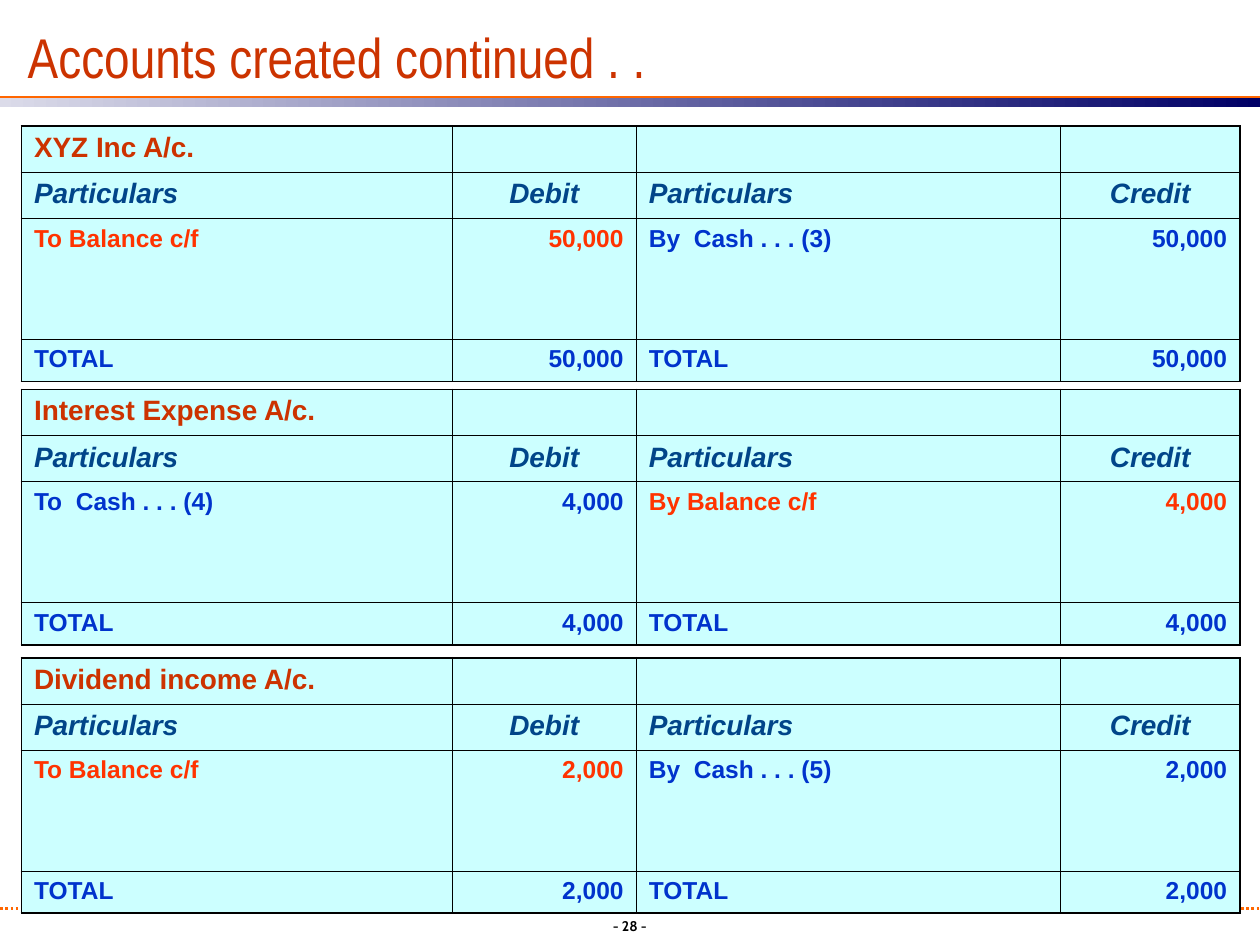
from dataclasses import dataclass

from lxml import etree
from pptx import Presentation
from pptx.dml.color import RGBColor
from pptx.enum.dml import MSO_LINE
from pptx.enum.shapes import MSO_CONNECTOR, MSO_SHAPE
from pptx.enum.text import MSO_ANCHOR, MSO_AUTO_SIZE, PP_ALIGN
from pptx.oxml.ns import qn
from pptx.util import Inches, Pt

LEFT, CENTER, RIGHT = PP_ALIGN.LEFT, PP_ALIGN.CENTER, PP_ALIGN.RIGHT
BOTTOM = MSO_ANCHOR.BOTTOM
NO_AUTOFIT = MSO_AUTO_SIZE.NONE
STRAIGHT = MSO_CONNECTOR.STRAIGHT
RECTANGLE = MSO_SHAPE.RECTANGLE
DOTTED = MSO_LINE.ROUND_DOT


@dataclass(frozen=True)
class Theme:
    heading: str = "CC3300"
    column: str = "014589"
    entry: str = "0033CC"
    balance: str = "FF3300"
    cell: str = "CCFFFF"
    black: str = "000000"
    shadow: str = "808080"
    rule: str = "FF6600"
    band_start: str = "DBDBE9"
    band_end: str = "000066"
    title_size: int = 32
    heading_size: int = 16
    entry_size: int = 14
    page_size: int = 8
    rule_width: float = 1.5
    outer_border: float = 1.08
    inner_border: float = 0.45


THEME = Theme()
TITLE_FONT = {"name": "Arial Narrow", "size": Pt(THEME.title_size), "bold": False}
HEADING_FONT = {"name": "Arial", "size": Pt(THEME.heading_size), "bold": True}
COLUMN_FONT = {**HEADING_FONT, "italic": True}
ENTRY_FONT = {**HEADING_FONT, "size": Pt(THEME.entry_size)}
PAGE_FONT = {"name": "Cabin", "size": Pt(THEME.page_size), "bold": True}

COLUMN_WIDTHS = (3.42, 1.46, 3.37, 1.42)
ROW_HEIGHTS = (0.33, 0.32, 0.96, 0.3)
COLUMN_TITLES = ("Particulars", "Debit", "Particulars", "Credit")
ACCOUNTS = (
    (1, "XYZ Inc A/c.", "To Balance c/f", "By  Cash . . . (3)", "50,000"),
    (3.09, "Interest Expense A/c.", "To  Cash . . . (4)", "By Balance c/f", "4,000"),
    (5.22, "Dividend income A/c.", "To Balance c/f", "By  Cash . . . (5)", "2,000"),
)


def write(paragraph, text, font, color, align=LEFT):
    paragraph.alignment = align
    run = paragraph.add_run()
    run.text = text
    for attribute, value in font.items():
        setattr(run.font, attribute, value)
    run.font.color.rgb = RGBColor.from_string(color)
    return run


def add_text_shadow(run):
    effects = etree.Element(qn("a:effectLst"))
    shadow = etree.SubElement(effects, qn("a:outerShdw"), dist="25400", dir="2700000")
    etree.SubElement(shadow, qn("a:srgbClr"), val=THEME.shadow)
    run.font.fill.solid()
    run.font.color.rgb = RGBColor.from_string(THEME.heading)
    run.font._element.find(qn("a:solidFill")).addnext(effects)


def add_title(slide):
    title = slide.shapes.title
    title.left, title.top = Inches(0.22), Inches(0.17)
    title.width, title.height = Inches(8.5), Inches(0.54)
    frame = title.text_frame
    layout = {"margin_left": 0, "margin_top": 0, "margin_right": 0, "margin_bottom": 0,
              "vertical_anchor": BOTTOM, "word_wrap": True, "auto_size": NO_AUTOFIT}
    for attribute, value in layout.items():
        setattr(frame, attribute, value)
    run = write(frame.paragraphs[0], "Accounts created continued . .",
                TITLE_FONT, THEME.heading)
    add_text_shadow(run)


def add_rule(slide, top, dash=None):
    rule = slide.shapes.add_connector(STRAIGHT, 0, Inches(top), Inches(10), Inches(top))
    rule.line.color.rgb = RGBColor.from_string(THEME.rule)
    rule.line.width = Pt(THEME.rule_width)
    if dash:
        rule.line.dash_style = dash
    etree.SubElement(rule._element.spPr, qn("a:effectLst"))


def add_gradient_band(slide):
    band = slide.shapes.add_shape(RECTANGLE, 0, Inches(0.78), Inches(10), Inches(0.07))
    band.shadow.inherit = False
    band.line.fill.background()
    band.fill.gradient()
    band.fill.gradient_angle = 0
    for stop, color in zip(band.fill.gradient_stops, (THEME.band_start, THEME.band_end)):
        stop.color.rgb = RGBColor.from_string(color)


def add_page_number(slide):
    box = slide.shapes.add_textbox(Inches(3.96), Inches(7.23), Inches(2.08), Inches(0.27))
    box.text_frame.word_wrap = True
    write(box.text_frame.paragraphs[0], "- 28 -", PAGE_FONT, THEME.black, CENTER)


def set_borders(cell, row, column):
    outer_sides = {
        "L": column == 0,
        "R": column == len(COLUMN_WIDTHS) - 1,
        "T": row == 0,
        "B": row == len(ROW_HEIGHTS) - 1,
    }
    properties = cell._tc.get_or_add_tcPr()
    for side, outer in outer_sides.items():
        width = Pt(THEME.outer_border if outer else THEME.inner_border)
        border = etree.SubElement(properties, qn(f"a:ln{side}"), w=str(width))
        fill = etree.SubElement(border, qn("a:solidFill"))
        etree.SubElement(fill, qn("a:srgbClr"), val=THEME.black)


def entry_color(label):
    return THEME.balance if "Balance" in label else THEME.entry


def account_rows(name, debit, credit, amount):
    debit_color, credit_color = entry_color(debit), entry_color(credit)
    entry_aligns = (LEFT, RIGHT) * 2
    return (
        (HEADING_FONT, (name, "", "", ""), (THEME.heading,) * 4, (LEFT,) * 4),
        (COLUMN_FONT, COLUMN_TITLES, (THEME.column,) * 4, (LEFT, CENTER) * 2),
        (ENTRY_FONT, (debit, amount, credit, amount),
         (debit_color, debit_color, credit_color, credit_color), entry_aligns),
        (ENTRY_FONT, ("TOTAL", amount) * 2, (THEME.entry,) * 4, entry_aligns),
    )


def fill_cell(cell, text, font, color, align):
    paragraph = cell.text_frame.paragraphs[0]
    if text:
        write(paragraph, text, font, color, align)
    else:
        size = str(int(font["size"].pt * 100))
        etree.SubElement(paragraph._p, qn("a:endParaRPr"), sz=size)
    cell.margin_left = cell.margin_right = Inches(0.1)
    cell.margin_top = cell.margin_bottom = Inches(0.05)


def add_account(slide, top, name, debit, credit, amount):
    table = slide.shapes.add_table(
        len(ROW_HEIGHTS), len(COLUMN_WIDTHS), Inches(0.17), Inches(top),
        Inches(sum(COLUMN_WIDTHS)), Inches(sum(ROW_HEIGHTS))).table
    table.first_row = table.horz_banding = False
    for column, width in zip(table.columns, COLUMN_WIDTHS):
        column.width = Inches(width)
    for row, height in zip(table.rows, ROW_HEIGHTS):
        row.height = Inches(height)
    for r, (font, texts, colors, aligns) in enumerate(
            account_rows(name, debit, credit, amount)):
        for c, (text, color, align) in enumerate(zip(texts, colors, aligns)):
            cell = table.cell(r, c)
            fill_cell(cell, text, font, color, align)
            set_borders(cell, r, c)
            cell.fill.solid()
            cell.fill.fore_color.rgb = RGBColor.from_string(THEME.cell)


def main():
    deck = Presentation()
    deck.slide_width, deck.slide_height = Inches(10), Inches(7.5)
    slide = deck.slides.add_slide(deck.slide_layouts[5])
    add_rule(slide, 7.21, DOTTED)
    add_gradient_band(slide)
    add_rule(slide, 0.77)
    add_page_number(slide)
    for account in ACCOUNTS:
        add_account(slide, *account)
    add_title(slide)
    deck.save("out.pptx")


if __name__ == "__main__":
    main()
